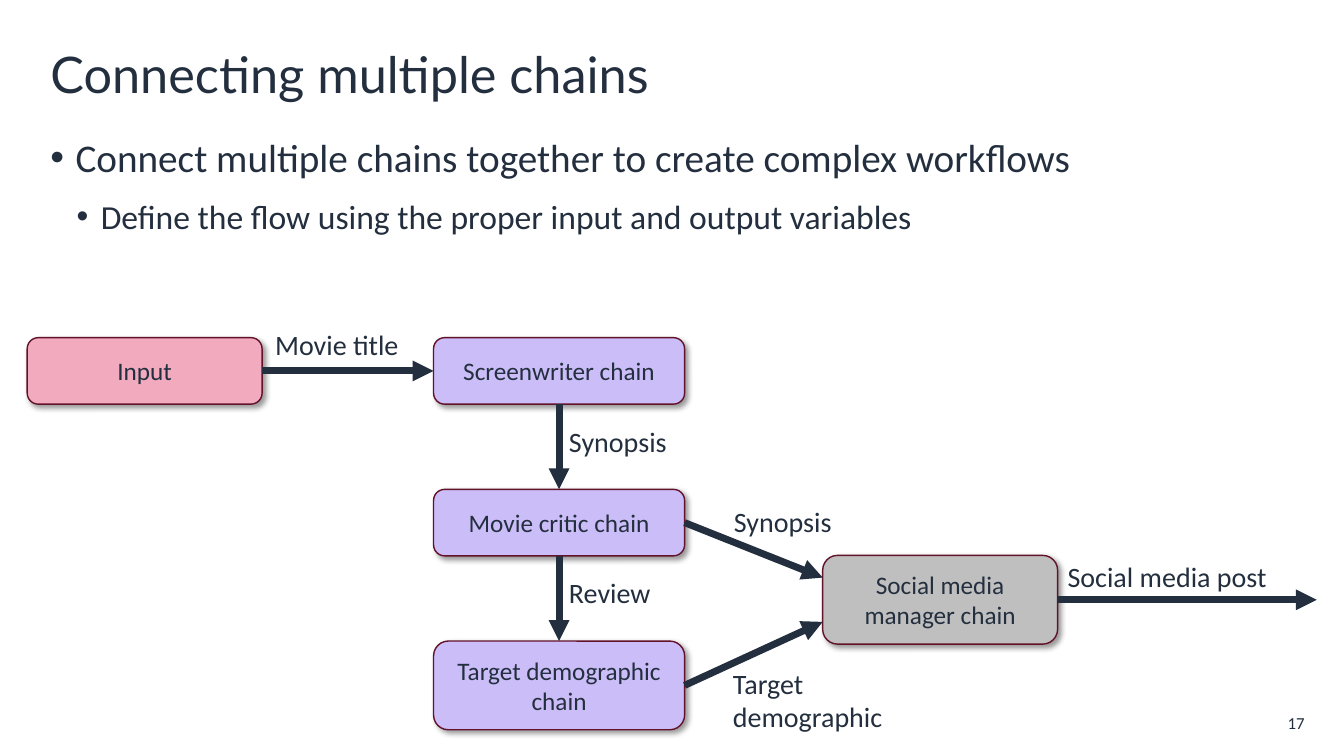
import pptx
import pptx.util
import pptx.dml.color
import pptx.enum.shapes
import pptx.enum.text
import pptx.oxml
import pptx.oxml.ns
from lxml import etree

Inches, Pt = pptx.util.Inches, pptx.util.Pt
RGBColor = pptx.dml.color.RGBColor
Shapes = pptx.enum.shapes.MSO_SHAPE
Anchor = pptx.enum.text.MSO_ANCHOR
Align = pptx.enum.text.PP_ALIGN
AutoSize = pptx.enum.text.MSO_AUTO_SIZE
qn = pptx.oxml.ns.qn

INK = RGBColor(0x23, 0x2F, 0x3E)
OUTLINE = RGBColor(0x62, 0x12, 0x29)
PINK = RGBColor(0xF2, 0xAA, 0xBE)
LILAC = RGBColor(0xCB, 0xBD, 0xF8)
GREY = RGBColor(0xBF, 0xBF, 0xBF)

TOP, LEFT, BOTTOM, RIGHT = range(4)
SHADOW = (
    f'<a:effectLst {pptx.oxml.ns.nsdecls("a")}>'
    '<a:outerShdw blurRad="50800" dist="38100" dir="2700000" algn="tl" rotWithShape="0">'
    '<a:srgbClr val="000000"><a:alpha val="40000"/></a:srgbClr>'
    '</a:outerShdw></a:effectLst>'
)


def set_format(target, values):
    """Set every attribute named in values on target."""
    for attribute, value in values.items():
        setattr(target, attribute, value)


def write(paragraph, words, size, font="Calibri", align=Align.LEFT):
    """Put one formatted run into a paragraph."""
    paragraph.alignment = align
    run = paragraph.add_run()
    run.text = words
    set_format(run.font, {"size": Pt(size), "name": font})
    run.font.color.rgb = INK


def add_label(slide, words, left, top, width, height=0.44):
    """Add a text label that names what an arrow carries."""
    label = slide.shapes.add_textbox(*map(Inches, (left, top, width, height)))
    label.text_frame.word_wrap = True
    write(label.text_frame.paragraphs[0], words, 20)


def add_step(slide, words, fill, left, top, width, height):
    """Add a rounded, shadowed step of the workflow."""
    step = slide.shapes.add_shape(
        Shapes.ROUNDED_RECTANGLE, *map(Inches, (left, top, width, height)))
    step.shadow.inherit = False
    properties = step._element.spPr
    properties.replace(properties.find(qn("a:effectLst")), pptx.oxml.parse_xml(SHADOW))
    step.fill.solid()
    step.fill.fore_color.rgb = fill
    step.line.color.rgb = OUTLINE
    step.line.width = Pt(1)
    set_format(step.text_frame, {"word_wrap": True, "vertical_anchor": Anchor.MIDDLE})
    write(step.text_frame.paragraphs[0], words, 18, align=Align.CENTER)
    return step


def add_arrow(slide, source, site, end):
    """Draw an arrow from a site of the source step to an (x, y) end in EMU."""
    arrow = slide.shapes.add_connector(
        pptx.enum.shapes.MSO_CONNECTOR.STRAIGHT, 0, 0, *map(int, end))
    arrow.begin_connect(source, site)
    arrow.line.color.rgb = INK
    arrow.line.width = Pt(5)
    etree.SubElement(arrow.line._get_or_add_ln(), qn("a:tailEnd"), type="triangle")
    etree.SubElement(arrow._element.spPr, qn("a:effectLst"))
    return arrow


def add_title(slide, left, top, width, height):
    """Fill the title placeholder inside the given box."""
    title = slide.shapes.title
    set_format(title, dict(zip(("left", "top", "width", "height"),
                               map(Inches, (left, top, width, height)))))
    set_format(title.text_frame, {"vertical_anchor": Anchor.MIDDLE,
                                  "auto_size": AutoSize.NONE})
    write(title.text_frame.paragraphs[0], "Connecting multiple chains", 36, "Lato")


def add_points(slide, left, top, width, height):
    """Fill the body placeholder with the two bulleted points."""
    points = slide.placeholders[1]
    set_format(points, dict(zip(("left", "top", "width", "height"),
                                map(Inches, (left, top, width, height)))))
    frame = points.text_frame
    set_format(frame, {"vertical_anchor": Anchor.TOP, "auto_size": AutoSize.NONE})
    rows = (
        ("Connect multiple chains together to create complex workflows", 28, 0.25, -0.25, 0),
        ("Define the flow using the proper input and output variables", 24, 0.5, -0.24, 5),
    )
    for level, (words, size, margin, indent, before) in enumerate(rows):
        point = frame.add_paragraph() if level else frame.paragraphs[0]
        set_format(point, {"level": level, "space_before": Pt(before), "space_after": Pt(6)})
        properties = point._p.get_or_add_pPr()
        properties.set("marL", str(Inches(margin)))
        properties.set("indent", str(Inches(indent)))
        bullet_color = etree.SubElement(properties, qn("a:buClr"))
        etree.SubElement(bullet_color, qn("a:srgbClr"), val=str(INK))
        etree.SubElement(properties, qn("a:buFont"), typeface="Arial")
        etree.SubElement(properties, qn("a:buChar"), char="•")
        write(point, words, size)


def add_workflow(slide, left, top, width):
    """Draw the chain workflow with its arrows and labels."""
    chain_left, chain_width, pitch = left + 4.03, 2.49, 1.505
    chain_middle = chain_left + chain_width / 2
    source = add_step(slide, "Input", PINK, left, top, 2.33, 0.66)
    chains = [
        add_step(slide, words, LILAC, chain_left, top + row * pitch, chain_width, height)
        for row, (words, height) in enumerate((
            ("Screenwriter chain", 0.66),
            ("Movie critic chain", 0.66),
            ("Target demographic chain", 0.88)))
    ]
    manager = add_step(slide, "Social media manager chain", GREY,
                       left + 7.89, top + 2.16, 2.33, 0.88)

    add_arrow(slide, source, RIGHT, (0, 0)).end_connect(chains[0], LEFT)
    for upper, lower in zip(chains, chains[1:]):
        add_arrow(slide, upper, BOTTOM, (0, 0)).end_connect(lower, TOP)
    for chain, share in zip(chains[1:], (0.25, 0.75)):
        add_arrow(slide, chain, RIGHT, (manager.left, manager.top + manager.height * share))
    add_arrow(slide, manager, RIGHT,
              (Inches(left + width), manager.top + manager.height / 2))

    add_label(slide, "Movie title", left + 2.36, top - 0.15, 1.63)
    for row, words in enumerate(("Synopsis", "Review")):
        add_label(slide, words, chain_middle, top + 0.81 + row * pitch, 1.33)
    add_label(slide, "Synopsis", left + 6.91, top + 1.61, 1.33)
    add_label(slide, "Target demographic", left + 6.9, top + 3.21, 1.98, 0.77)
    add_label(slide, "Social media post", left + 10.22, top + 2.15, 2.46)


def add_page_number(slide, left, top, width, height):
    """Place the page number at the right of the given box."""
    number = slide.shapes.add_textbox(*map(Inches, (left, top, width, height)))
    set_format(number.text_frame, {
        "margin_left": 0, "margin_right": 0, "margin_top": 0, "margin_bottom": 0,
        "vertical_anchor": Anchor.MIDDLE, "word_wrap": True})
    write(number.text_frame.paragraphs[0], "17", 12, align=Align.RIGHT)


def main():
    """Build and save the slide."""
    deck = pptx.Presentation()
    set_format(deck, {"slide_width": Inches(13.33), "slide_height": Inches(7.5)})
    slide = deck.slides.add_slide(deck.slide_layouts[1])
    add_title(slide, 0.4, 0.33, 12.54, 0.8)
    add_points(slide, 0.4, 1.27, 12.54, 1.33)
    add_workflow(slide, 0.27, 3.35, 12.79)
    add_page_number(slide, 12.41, 7.05, 0.53, 0.25)
    deck.save("out.pptx")


if __name__ == "__main__":
    main()
